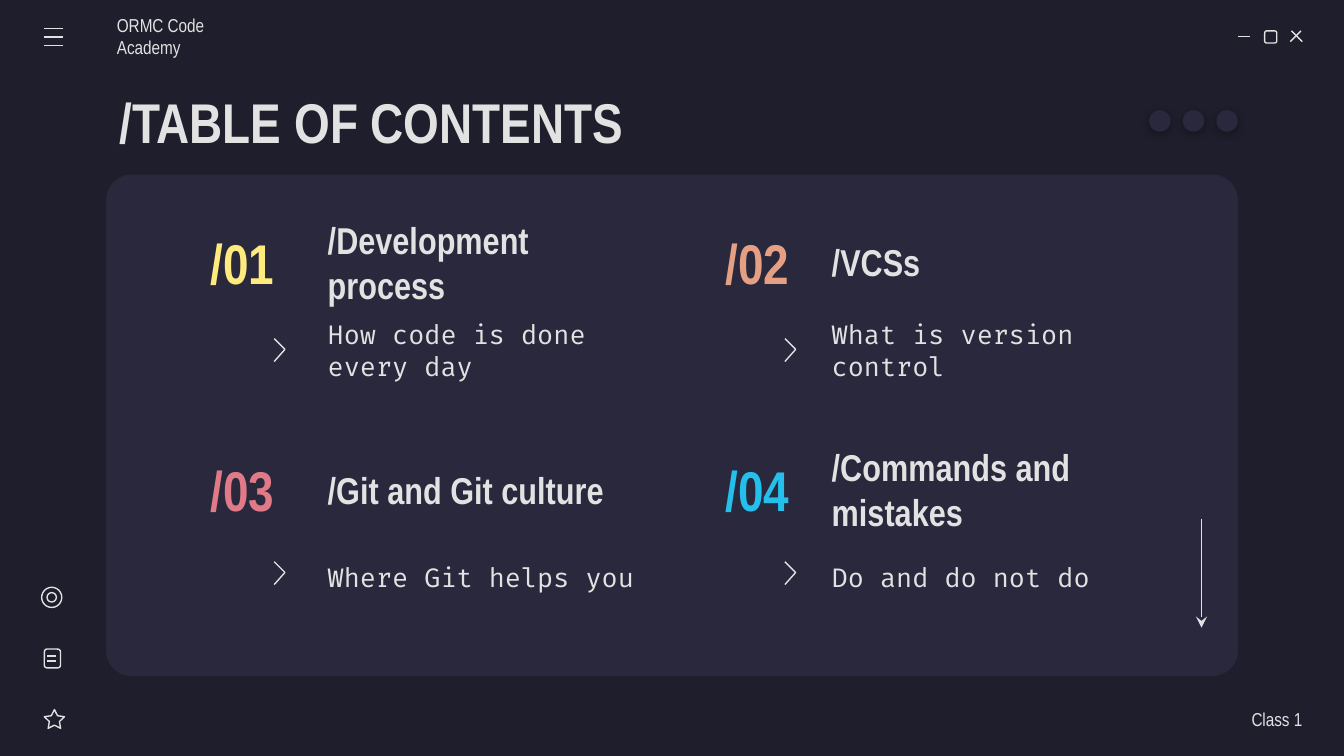
from lxml.etree import SubElement
from pptx import Presentation
from pptx.dml.color import RGBColor
from pptx.enum.shapes import MSO_CONNECTOR, MSO_SHAPE
from pptx.enum.text import MSO_ANCHOR, PP_ALIGN
from pptx.oxml import parse_xml
from pptx.oxml.ns import nsdecls, qn
from pptx.util import Inches, Pt

LIGHT = "E2E2E2"
PANEL = "29283D"
TITLE_FONT = "Arial Narrow"
BODY_FONT = "Fira Code"

COLUMNS = [(0.56, 1.25, 1.55), (4.39, 5.05, 5.3)]
ROWS = [(0.37, 1.22, 2.55), (2.06, 2.88, 2.66)]
TOPICS = [
    ("/01", "FFEA7D", "/Development process", "How code is done every day"),
    ("/02", "E5A083", "/VCSs", "What is version control"),
    ("/03", "E07A88", "/Git and Git culture", "Where Git helps you"),
    ("/04", "24BFEB", "/Commands and mistakes", "Do and do not do"),
]


def color(value):
    """Turn a hex string into a colour."""
    return RGBColor.from_string(value)


def add_text(page, box, text, size, font=TITLE_FONT, fill=LIGHT, bold=False,
             align=PP_ALIGN.LEFT, left_inset=0.1, right_inset=0.1):
    """Add a vertically centred text box."""
    frame = page.shapes.add_textbox(*map(Inches, box)).text_frame
    frame.word_wrap = True
    frame.vertical_anchor = MSO_ANCHOR.MIDDLE
    frame.margin_left, frame.margin_right = Inches(left_inset), Inches(right_inset)
    frame.margin_top = frame.margin_bottom = Inches(0.1)
    frame.text = text
    para = frame.paragraphs[0]
    para.alignment = align
    for span in para.runs:
        span.font.name, span.font.size, span.font.bold = font, Pt(size), bold
        span.font.color.rgb = color(fill)


def outline(shape):
    """Give a shape a thin light line and no fill."""
    shape.shadow.inherit = False
    shape.fill.background()
    shape.line.color.rgb = color(LIGHT)
    shape.line.width = Pt(0.75)


def add_outlined(page, kind, box):
    """Add an outlined preset shape."""
    shape = page.shapes.add_shape(kind, *map(Inches, box))
    outline(shape)
    return shape


def add_filled(page, kind, box):
    """Add a panel-coloured shape without a line."""
    shape = page.shapes.add_shape(kind, *map(Inches, box))
    shape.shadow.inherit = False
    shape.fill.solid()
    shape.fill.fore_color.rgb = color(PANEL)
    shape.line.fill.background()
    return shape


def add_line(page, x1, y1, x2, y2):
    """Add a thin light line."""
    line = page.shapes.add_connector(
        MSO_CONNECTOR.STRAIGHT, *map(Inches, (x1, y1, x2, y2)))
    line.line.color.rgb = color(LIGHT)
    line.line.width = Pt(0.75)
    SubElement(line.element.spPr, qn("a:effectLst"))
    return line


def add_chevron(page, left, top):
    """Add an open chevron pointing right."""
    builder = page.shapes.build_freeform(Inches(left), Inches(top))
    builder.add_line_segments(
        [(Inches(left + 0.08), Inches(top + 0.08)), (Inches(left), Inches(top + 0.17))],
        close=False)
    outline(builder.convert_to_shape())


def add_menu_icon(page, left, top):
    """Add the three-line menu icon."""
    for index in range(3):
        y = top + index * 0.065
        add_line(page, left, y, left + 0.14, y)


def add_window_controls(page, left, top):
    """Add minimise, maximise and close icons."""
    add_line(page, left, top + 0.04, left + 0.09, top + 0.04)
    add_outlined(page, MSO_SHAPE.ROUNDED_RECTANGLE, (left + 0.2, top, 0.09, 0.09))
    add_line(page, left + 0.4, top, left + 0.48, top + 0.08)
    add_line(page, left + 0.47, top, left + 0.39, top + 0.08)


def add_side_icons(page, left, top):
    """Add the ring, note and star icons."""
    add_outlined(page, MSO_SHAPE.OVAL, (left, top, 0.15, 0.15))
    add_outlined(page, MSO_SHAPE.OVAL, (left + 0.04, top + 0.04, 0.07, 0.07))
    add_outlined(page, MSO_SHAPE.ROUNDED_RECTANGLE, (left + 0.02, top + 0.46, 0.12, 0.14))
    for y in (top + 0.51, top + 0.55):
        add_line(page, left + 0.04, y, left + 0.11, y)
    star = add_outlined(page, MSO_SHAPE.STAR_5_POINT, (left + 0.02, top + 0.91, 0.15, 0.14))
    star.adjustments[0] = 0.25


def add_dots(page, left, top):
    """Add three shadowed dots."""
    for index in range(3):
        dot = add_filled(page, MSO_SHAPE.OVAL, (left + index * 0.25, top, 0.16, 0.16))
        effects = dot.element.spPr.find(qn("a:effectLst"))
        effects.append(parse_xml(
            f'<a:outerShdw {nsdecls("a")} blurRad="{Pt(4.5)}" dist="{Pt(1.5)}" '
            'dir="5400000" algn="bl" rotWithShape="0"><a:srgbClr val="000000">'
            '<a:alpha val="30000"/></a:srgbClr></a:outerShdw>'))


def add_topic(page, left, top, column, row, topic):
    """Add one numbered topic at its column and row within the panel."""
    number_x, chevron_x, text_x = (left + offset for offset in column)
    row_top, chevron_offset, heading_width = row
    y = top + row_top
    number, accent, heading, description = topic
    add_text(page, (text_x, y, heading_width, 0.56), heading, 20, bold=True)
    add_text(page, (number_x, y, 0.91, 0.56), number, 30, fill=accent,
             bold=True, align=PP_ALIGN.CENTER)
    add_text(page, (text_x, y + 0.56, 2.55, 0.75), description, 14, BODY_FONT)
    add_chevron(page, chevron_x, top + chevron_offset)


def add_contents(page, left, top, width, height):
    """Add the panel with its topics and scroll arrow."""
    panel = add_filled(page, MSO_SHAPE.ROUNDED_RECTANGLE, (left, top, width, height))
    panel.adjustments[0] = 0.05
    for index, topic in enumerate(TOPICS):
        add_topic(page, left, top, COLUMNS[index % 2], ROWS[index // 2], topic)
    arrow_x = left + width - 0.27
    arrow = add_line(page, arrow_x, top + 2.56, arrow_x, top + 3.37)
    SubElement(arrow.element.spPr.find(qn("a:ln")), qn("a:tailEnd"), type="stealth")


def main():
    """Build the table of contents slide."""
    deck = Presentation()
    deck.slide_width = Inches(10)
    deck.slide_height = deck.slide_width * 9 // 16
    page = deck.slides.add_slide(deck.slide_layouts[6])
    page.background.fill.solid()
    page.background.fill.fore_color.rgb = color("1E1E2C")
    add_contents(page, 0.79, 1.3, 8.42, 3.73)
    add_window_controls(page, 9.21, 0.23)
    add_text(page, (0.79, 0.59, 8.42, 0.63), "/TABLE OF CONTENTS", 30, bold=True)
    add_text(page, (0.87, 0.12, 1.17, 0.3), "ORMC Code Academy", 10, left_inset=0)
    add_menu_icon(page, 0.33, 0.21)
    add_side_icons(page, 0.31, 4.37)
    add_text(page, (8.52, 5.2, 1.17, 0.3), "Class 1", 10,
             align=PP_ALIGN.RIGHT, right_inset=0)
    add_dots(page, 8.55, 0.82)
    deck.save("out.pptx")


if __name__ == "__main__":
    main()
